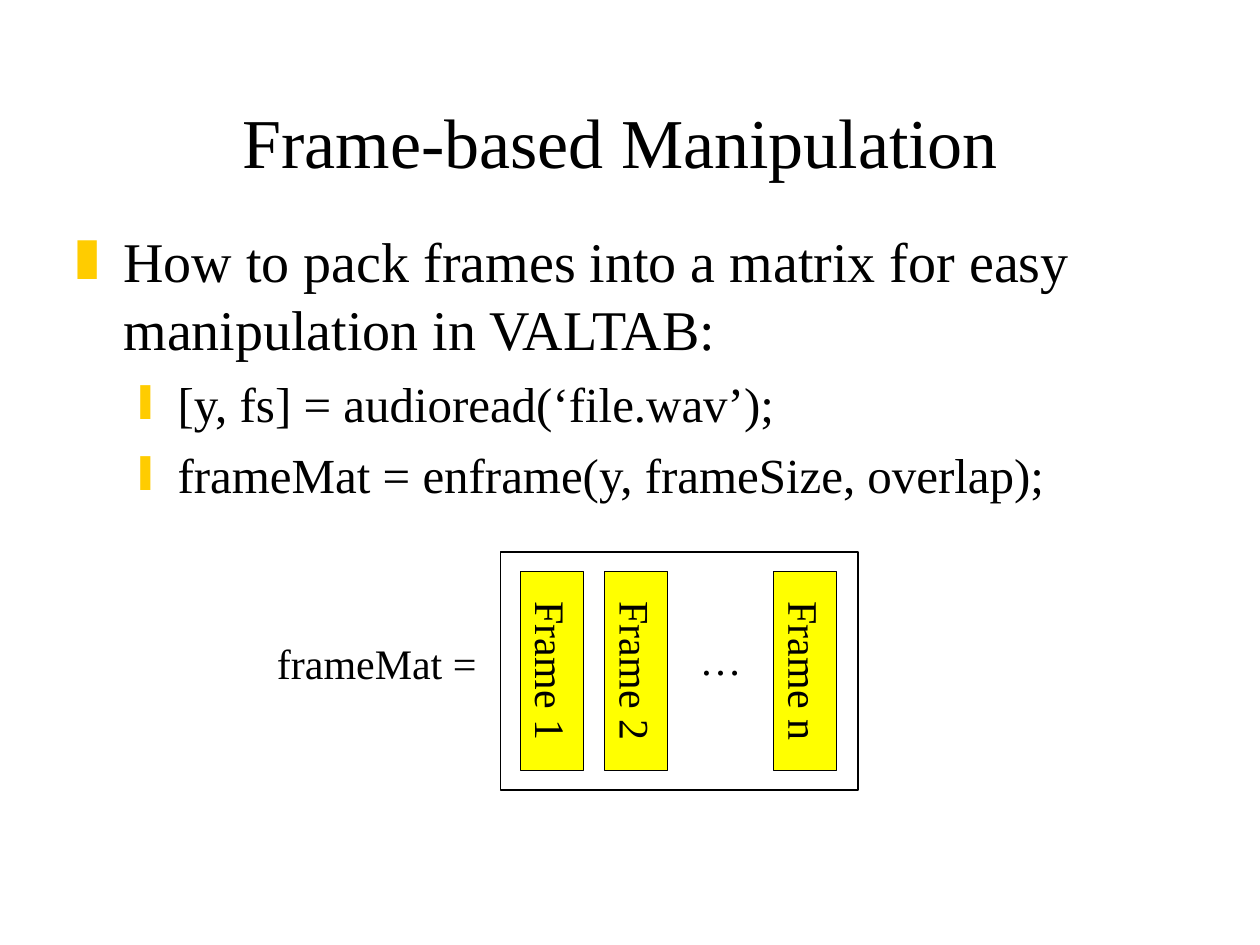
from dataclasses import dataclass

import pptx
import pptx.dml.color
import pptx.enum.shapes
import pptx.enum.text
import pptx.oxml
import pptx.oxml.ns
import pptx.util

BLACK = pptx.dml.color.RGBColor(0x00, 0x00, 0x00)
YELLOW = pptx.dml.color.RGBColor(0xFF, 0xFF, 0x00)
GOLD = pptx.dml.color.RGBColor(0xFF, 0xCC, 0x00)
FONT = "Times New Roman"
CENTER = pptx.enum.text.PP_ALIGN.CENTER
LEFT = pptx.enum.text.PP_ALIGN.LEFT

SLIDE_WIDTH, SLIDE_HEIGHT = 10, 7.5
MATRIX_LEFT, MATRIX_TOP, MATRIX_WIDTH, MATRIX_HEIGHT = 3.97, 4.38, 2.84, 1.89
MATRIX_MIDDLE = MATRIX_TOP + MATRIX_HEIGHT / 2
FIRST_COLUMN_CENTER, COLUMN_STEP = 4.38, 0.67
FRAME_LENGTH, FRAME_THICKNESS = 1.58, 0.5
ELLIPSIS_COLUMN = 2


@dataclass(frozen=True)
class Bullet:
    text: str
    level: int
    symbol: str
    size: float
    margin: float
    hanging: float
    space_before: float


@dataclass(frozen=True)
class Frame:
    text: str
    column: int


BULLETS = [
    Bullet("How to pack frames into a matrix for easy manipulation in VALTAB:", 0, "❚", 32, 0.38, 0.38, 0),
    Bullet("[y, fs] = audioread(‘file.wav’);", 1, "❙", 28, 0.81, 0.31, 7),
    Bullet("frameMat = enframe(y, frameSize, overlap);", 1, "❙", 28, 0.81, 0.31, 7),
]
FRAMES = [Frame("Frame 1", 0), Frame("Frame 2", 1), Frame("Frame n", 3)]


def place(shape, left: float, top: float, width: float, height: float) -> None:
    """Set the position and size of a shape in inches."""
    shape.left, shape.top = pptx.util.Inches(left), pptx.util.Inches(top)
    shape.width, shape.height = pptx.util.Inches(width), pptx.util.Inches(height)


def write(paragraph, text: str, size: float, alignment) -> None:
    """Fill a paragraph with black text of the slide's font."""
    paragraph.text = text
    paragraph.alignment = alignment
    paragraph.font.name = FONT
    paragraph.font.size = pptx.util.Pt(size)
    paragraph.font.color.rgb = BLACK


def column_center(column: int) -> float:
    """Return the horizontal centre of a matrix column."""
    return FIRST_COLUMN_CENTER + column * COLUMN_STEP


def add_title(slide, text: str) -> None:
    """Write the slide title at the bottom of its placeholder."""
    title = slide.shapes.title
    place(title, 0.44, 0.25, 8.97, 1.25)
    title.text_frame.auto_size = pptx.enum.text.MSO_AUTO_SIZE.NONE
    title.text_frame.vertical_anchor = pptx.enum.text.MSO_ANCHOR.BOTTOM
    write(title.text_frame.paragraphs[0], text, 40, CENTER)


def add_bullets(slide, bullets: list[Bullet]) -> None:
    """Write the bulleted list into the body placeholder."""
    body = slide.placeholders[1]
    place(body, 0.5, 1.75, 8.94, 4.99)
    text_frame = body.text_frame
    text_frame.auto_size = pptx.enum.text.MSO_AUTO_SIZE.NONE
    for index, bullet in enumerate(bullets):
        paragraph = text_frame.add_paragraph() if index else text_frame.paragraphs[0]
        paragraph.level = bullet.level
        properties = paragraph._p.get_or_add_pPr()
        properties.set("marL", str(pptx.util.Inches(bullet.margin)))
        properties.set("indent", str(-pptx.util.Inches(bullet.hanging)))
        namespace = pptx.oxml.ns.nsdecls("a")
        for element in (
            f'<a:buClr {namespace}><a:srgbClr val="{GOLD}"/></a:buClr>',
            f'<a:buFont {namespace} typeface="{FONT}"/>',
            f'<a:buChar {namespace} char="{bullet.symbol}"/>',
        ):
            properties.append(pptx.oxml.parse_xml(element))
        write(paragraph, bullet.text, bullet.size, LEFT)
        paragraph.space_before = pptx.util.Pt(bullet.space_before)


def add_rectangle(slide, left: float, top: float, width: float, height: float):
    """Add an unfilled rectangle with a thin black outline."""
    rectangle = slide.shapes.add_shape(pptx.enum.shapes.MSO_SHAPE.RECTANGLE, 0, 0, 0, 0)
    place(rectangle, left, top, width, height)
    rectangle.shadow.inherit = False
    rectangle.fill.background()
    rectangle.line.color.rgb = BLACK
    rectangle.line.width = pptx.util.Pt(0.75)
    return rectangle


def add_frame(slide, frame: Frame) -> None:
    """Add one frame as a yellow box turned upright in its column."""
    left = column_center(frame.column) - FRAME_LENGTH / 2
    top = MATRIX_MIDDLE - FRAME_THICKNESS / 2
    box = add_rectangle(slide, left, top, FRAME_LENGTH, FRAME_THICKNESS)
    box.rotation = 90
    box.fill.solid()
    box.fill.fore_color.rgb = YELLOW
    write(box.text_frame.paragraphs[0], frame.text, 24, CENTER)


def add_label(slide, text: str, left: float, top: float, width: float) -> None:
    """Add a single-line label."""
    label = slide.shapes.add_textbox(0, 0, 0, 0)
    place(label, left, top, width, 0.5)
    label.text_frame.word_wrap = False
    write(label.text_frame.paragraphs[0], text, 24, LEFT)


def main() -> None:
    """Build the slide and save it."""
    presentation = pptx.Presentation()
    presentation.slide_width = pptx.util.Inches(SLIDE_WIDTH)
    presentation.slide_height = pptx.util.Inches(SLIDE_HEIGHT)
    slide = presentation.slides.add_slide(presentation.slide_layouts[1])
    add_title(slide, "Frame-based Manipulation")
    add_bullets(slide, BULLETS)
    add_rectangle(slide, MATRIX_LEFT, MATRIX_TOP, MATRIX_WIDTH, MATRIX_HEIGHT)
    for frame in FRAMES:
        add_frame(slide, frame)
    ellipsis_width, name_width = 0.53, 1.87
    add_label(slide, "…", column_center(ELLIPSIS_COLUMN) - ellipsis_width / 2, 4.98, ellipsis_width)
    add_label(slide, "frameMat =", MATRIX_LEFT - name_width, 5.01, name_width)
    presentation.save("out.pptx")


if __name__ == "__main__":
    main()
